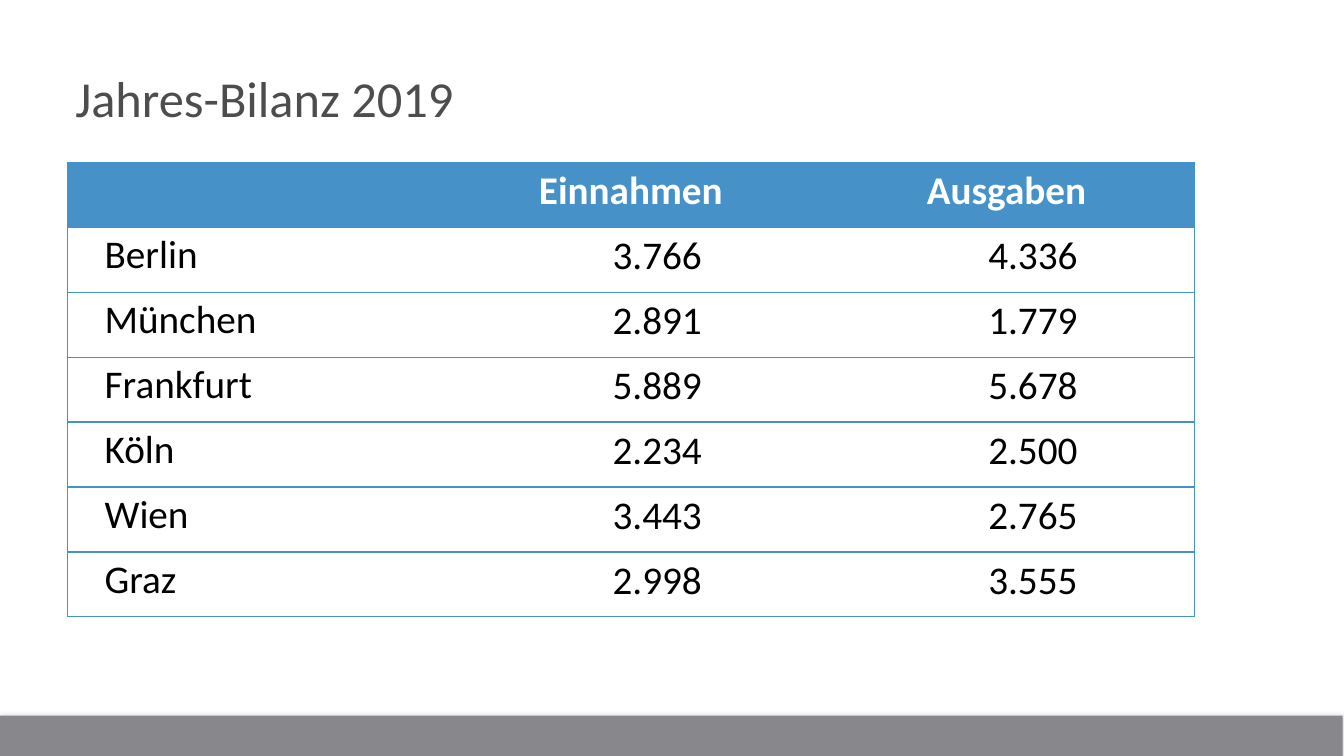
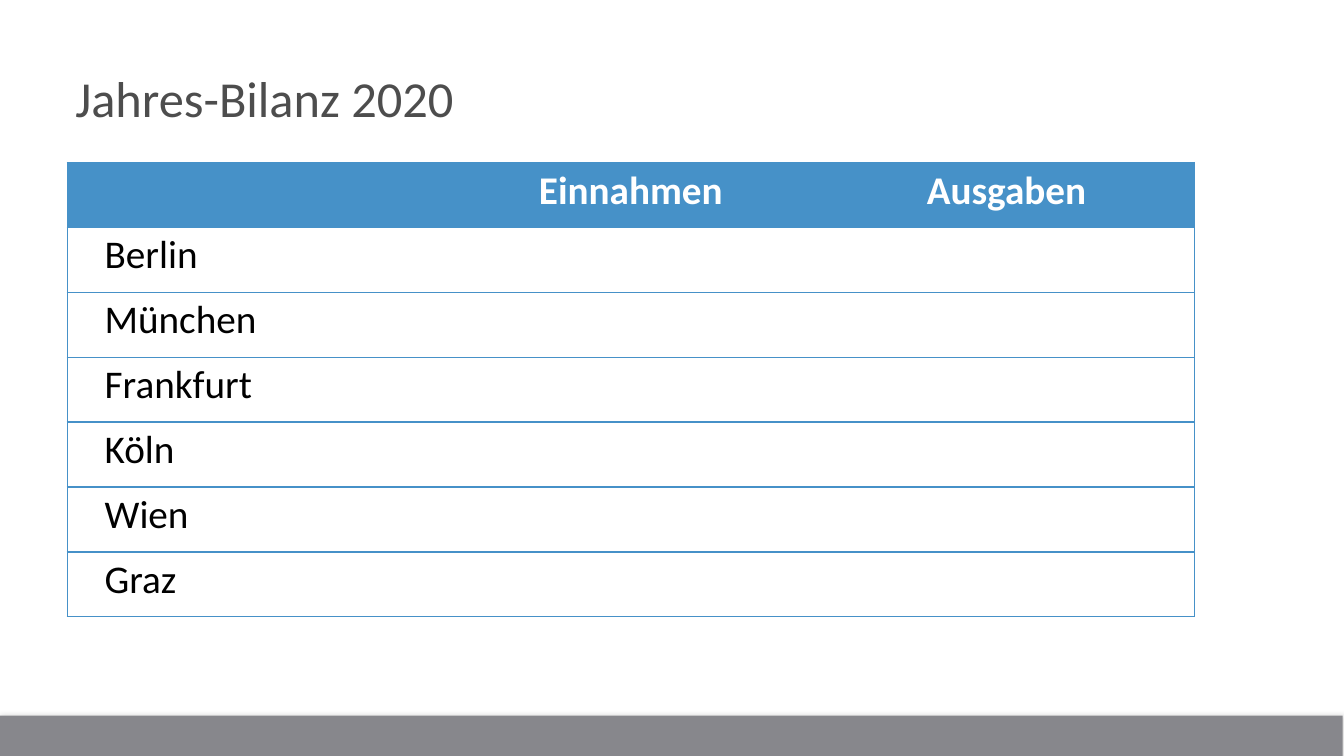
import pptx
import pptx.util
import pptx.oxml
import pptx.oxml.ns
import pptx.dml.color
import pptx.enum.shapes
import pptx.enum.text

Pt = pptx.util.Pt
RGB = pptx.dml.color.RGBColor
ALIGN = pptx.enum.text.PP_ALIGN

# Content
HEADERS = ["", "Einnahmen", "Ausgaben"]
CITIES = ["Berlin", "München", "Frankfurt", "Köln", "Wien", "Graz"]
BALANCES = {
    "Jahres-Bilanz 2019": [
        ("3.766", "4.336"),
        ("2.891", "1.779"),
        ("5.889", "5.678"),
        ("2.234", "2.500"),
        ("3.443", "2.765"),
        ("2.998", "3.555"),
    ],
    "Jahres-Bilanz 2020": [("", "")] * len(CITIES),
}

# Shared style
FONT = "Calibri"
BLUE = RGB(0x46, 0x91, 0xC8)
GREY = RGB(0x87, 0x87, 0x8C)
TITLE_GREY = RGB(0x4D, 0x4D, 0x4D)
WHITE = RGB(0xFF, 0xFF, 0xFF)
BLACK = RGB(0, 0, 0)

# Lengths in points; insets are left, top, right, bottom
SLIDE_W, SLIDE_H = 960, 540
LEFT = 48
TITLE_TOP, TITLE_W, TITLE_H = 15, 862, 79.4
TABLE_TOP, COL_W, ROW_H = 116, 268.4, 46.4
BAND_LEFT, BAND_TOP, BAND_H = -1, 511.2, 33
TITLE_INSETS = (5.8, 2.9, 5.8, 2.9)
HEADER_INSETS = (8.6, 3.6, 8.6, 3.6)
CITY_INSETS = (26.8, 2.9, 13, 2.9)
VALUE_INSETS = (8.6, 3.6, 83.5, 3.6)


def write(tf, text, size=28, color=BLACK, bold=False, align=ALIGN.LEFT):
    p = tf.paragraphs[0]
    p.alignment = align
    r = p.add_run()
    r.text = text
    r.font.name, r.font.size, r.font.bold = FONT, Pt(size), bold
    r.font.color.rgb = color


def set_insets(target, insets):
    for side, inset in zip(("left", "top", "right", "bottom"), insets):
        setattr(target, "margin_" + side, Pt(inset))


def set_borders(cell, visible):
    """Draw the visible sides in blue and leave out the other ones."""
    tc_pr = cell._tc.get_or_add_tcPr()
    for i, side in enumerate("LRTB"):
        paint = (f'<a:solidFill><a:srgbClr val="{BLUE}"/></a:solidFill>'
                 if side in visible else "<a:noFill/>")
        tc_pr.insert(i, pptx.oxml.parse_xml(
            f'<a:ln{side} {pptx.oxml.ns.nsdecls("a")} w="{Pt(1)}">{paint}</a:ln{side}>'))


def add_band(s, layout):
    """Build the bottom band and move it to the layout all slides share."""
    sp = s.shapes.add_shape(pptx.enum.shapes.MSO_SHAPE.RECTANGLE, Pt(BAND_LEFT),
                            Pt(BAND_TOP), Pt(SLIDE_W), Pt(BAND_H))
    sp.fill.solid()
    sp.fill.fore_color.rgb = GREY
    sp.line.fill.background()
    sp.shadow.inherit = False
    effects = sp._element.spPr.find(pptx.oxml.ns.qn("a:effectLst"))
    effects.append(pptx.oxml.parse_xml(
        f'<a:outerShdw {pptx.oxml.ns.nsdecls("a")} blurRad="{Pt(4.2)}" dist="0" '
        'dir="5400000" rotWithShape="0"><a:srgbClr val="000000">'
        '<a:alpha val="15000"/></a:srgbClr></a:outerShdw>'))
    layout.shapes._spTree.insert(2, sp._element)


def add_title(s, text):
    sp = s.shapes.title
    sp.left, sp.top, sp.width, sp.height = map(Pt, (LEFT, TITLE_TOP, TITLE_W, TITLE_H))
    tf = sp.text_frame
    tf.word_wrap = True
    tf.vertical_anchor = pptx.enum.text.MSO_ANCHOR.BOTTOM
    set_insets(tf, TITLE_INSETS)
    write(tf, text, size=36, color=TITLE_GREY)


def add_balance(s, values):
    rows = [HEADERS] + [(city, *pair) for city, pair in zip(CITIES, values)]
    last = len(HEADERS) - 1
    table = s.shapes.add_table(len(rows), len(HEADERS), Pt(LEFT), Pt(TABLE_TOP),
                               Pt(COL_W * len(HEADERS)), Pt(ROW_H * len(rows))).table
    table.horz_banding = False
    for column in table.columns:
        column.width = Pt(COL_W)
    for i, row in enumerate(rows):
        table.rows[i].height = Pt(ROW_H)
        for j, text in enumerate(row):
            if i == 0:
                insets, style = HEADER_INSETS, dict(color=WHITE, bold=True, align=ALIGN.CENTER)
            elif j == 0:
                insets, style = CITY_INSETS, {}
            else:
                insets, style = VALUE_INSETS, dict(align=ALIGN.RIGHT)
            cell = table.cell(i, j)
            cell.fill.solid()
            cell.fill.fore_color.rgb = WHITE if i else BLUE
            set_insets(cell, insets)
            set_borders(cell, "TB" + "L" * (j == 0) + "R" * (j == last))
            if text:
                write(cell.text_frame, text, **style)


def main():
    prs = pptx.Presentation()
    prs.slide_width, prs.slide_height = Pt(SLIDE_W), Pt(SLIDE_H)
    layout = prs.slide_layouts[5]
    for title, values in BALANCES.items():
        s = prs.slides.add_slide(layout)
        add_title(s, title)
        add_balance(s, values)
    add_band(prs.slides[0], layout)
    prs.save("out.pptx")


if __name__ == "__main__":
    main()
